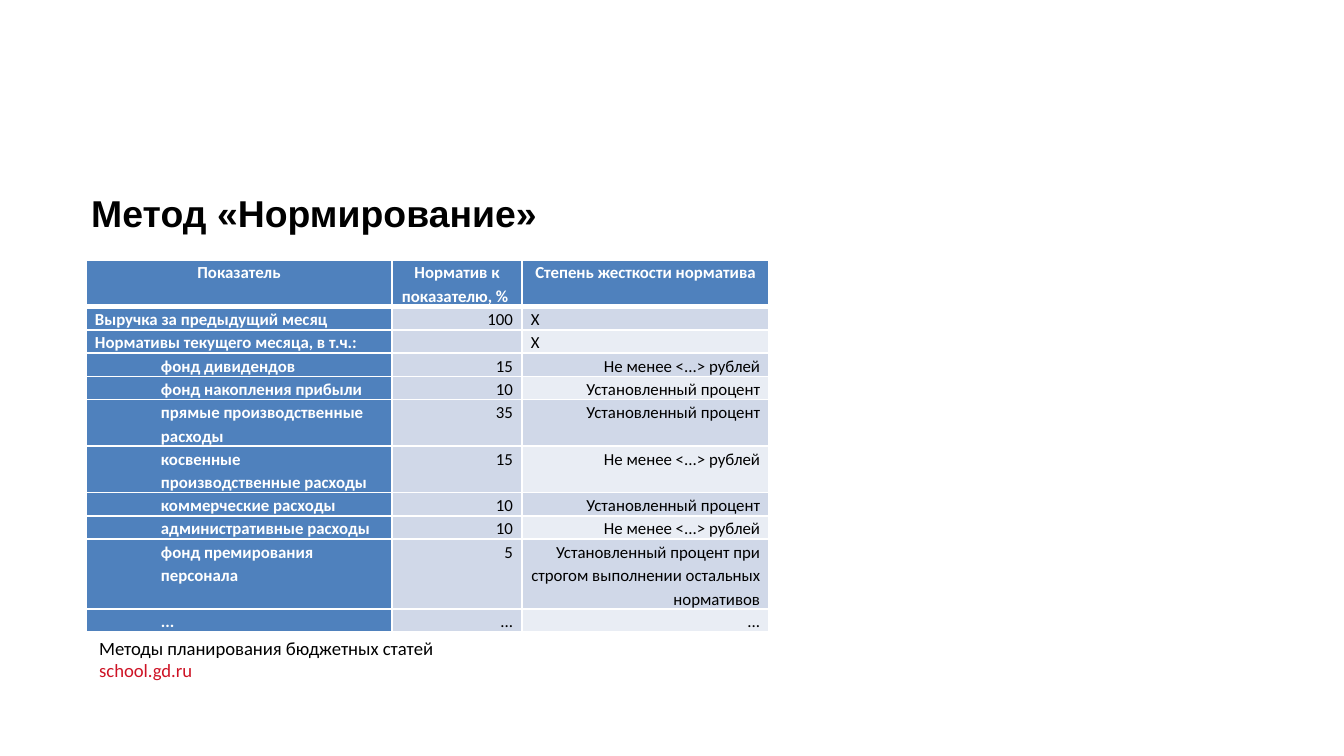
import pptx
import pptx.dml.color
import pptx.enum.text
import pptx.util
from lxml import etree

ALIGN = pptx.enum.text.PP_ALIGN
PX = 914400 / 134.4
COLORS = {
    "black": "000000", "white": "FFFFFF", "red": "CE1325",
    "blue": "4F81BD", "band_dark": "D0D8E8", "band_light": "E9EDF4",
}

TITLE = "Метод «Нормирование»"
FOOTER = [("Методы планирования бюджетных статей", "black"), ("school.gd.ru", "red")]
HEADER = ("Показатель", "Норматив к показателю, % ", "Степень жесткости норматива")
TOTALS = [
    ("Выручка за предыдущий месяц", "100", "Х"),
    ("Нормативы текущего месяца, в т.ч.:", "", "Х"),
]
ITEMS = [
    ("фонд дивидендов", "15", "Не менее <...> рублей"),
    ("фонд накопления прибыли", "10", "Установленный процент"),
    ("прямые производственные расходы", "35", "Установленный процент"),
    ("косвенные производственные расходы", "15", "Не менее <...> рублей"),
    ("коммерческие расходы", "10", "Установленный процент"),
    ("административные расходы", "10", "Не менее <...> рублей"),
    ("фонд премирования персонала", "5",
     "Установленный процент при строгом выполнении остальных нормативов"),
    ("...", "...", "..."),
]
ROWS = [HEADER] + TOTALS + ITEMS
ROW_LINES = [2, 1, 1, 1, 1, 2, 2, 1, 1, 3, 1]
COL_WIDTHS = [306, 130, 247]
LINE_HEIGHT = 23
CELL_MARGIN = 9
ITEM_INDENT = 66


def px(n):
    return pptx.util.Emu(round(n * PX))


def rgb(name):
    return pptx.dml.color.RGBColor.from_string(COLORS[name])


def add_run(p, text, font, size, color, bold=False):
    r = p.add_run()
    r.text = text
    r.font.name = font
    r.font.size = pptx.util.Pt(size)
    r.font.bold = bold
    r.font.color.rgb = rgb(color)


def add_text(slide, box, lines, font, size, bold=False, wrap=True):
    """Add a text box; lines holds one (text, color) pair per paragraph."""
    tf = slide.shapes.add_textbox(*map(px, box)).text_frame
    tf.word_wrap = wrap
    tf.auto_size = pptx.enum.text.MSO_AUTO_SIZE.SHAPE_TO_FIT_TEXT
    for i, (text, color) in enumerate(lines):
        p = tf.add_paragraph() if i else tf.paragraphs[0]
        add_run(p, text, font, size, color, bold)


def set_borders(cell, widths):
    """Draw white borders; widths maps each side (L, R, T, B) to points."""
    tc_pr = cell._tc.get_or_add_tcPr()
    ns = pptx.oxml.ns.nsdecls("a")
    for i, (side, width) in enumerate(widths.items()):
        tc_pr.insert(i, etree.fromstring(
            f'<a:ln{side} {ns} w="{pptx.util.Pt(width)}"><a:solidFill>'
            f'<a:srgbClr val="{COLORS["white"]}"/></a:solidFill></a:ln{side}>'))


def fill_cell(cell, text, row, col):
    strong = row == 0 or col == 0
    is_item = row > len(TOTALS)
    if strong:
        fill = "blue"
    elif col == 1 or row % 2:
        fill = "band_dark"
    else:
        fill = "band_light"
    cell.fill.solid()
    cell.fill.fore_color.rgb = rgb(fill)
    set_borders(cell, {"L": 1, "R": 1, "T": 3 if row == 1 else 1,
                       "B": 3 if row == 0 else 1})
    cell.margin_left = cell.margin_right = px(CELL_MARGIN)
    cell.margin_top = cell.margin_bottom = 0

    p = cell.text_frame.paragraphs[0]
    p.line_spacing = 1.15
    p.space_after = pptx.util.Pt(10)
    if row == 0:
        p.alignment = ALIGN.CENTER
    elif col == 0:
        p.alignment = ALIGN.LEFT
        if is_item:
            p._p.get_or_add_pPr().set("marL", str(px(ITEM_INDENT)))
    elif col == 2 and not is_item:
        p.alignment = ALIGN.JUSTIFY
    else:
        p.alignment = ALIGN.RIGHT
    if text:
        add_run(p, text, "Calibri", 9, "white" if strong else "black", strong)
    else:
        etree.SubElement(p._p, pptx.oxml.ns.qn("a:endParaRPr")).set("sz", "900")


def add_norms_table(slide, left, top):
    heights = [n * LINE_HEIGHT for n in ROW_LINES]
    table = slide.shapes.add_table(
        len(ROWS), len(COL_WIDTHS), px(left), px(top),
        px(sum(COL_WIDTHS)), px(sum(heights))).table
    for column, width in zip(table.columns, COL_WIDTHS):
        column.width = px(width)
    for i, (values, height) in enumerate(zip(ROWS, heights)):
        table.rows[i].height = px(height)
        for j, text in enumerate(values):
            fill_cell(table.cell(i, j), text, i, j)


def main():
    prs = pptx.Presentation()
    prs.slide_width, prs.slide_height = px(1344), px(756)
    slide = prs.slides.add_slide(prs.slide_layouts[6])
    add_text(slide, (86, 630, 367, 59), FOOTER, "Calibri", 10, wrap=False)
    add_text(slide, (78, 184, 642, 59), [(TITLE, "black")], "Arial", 20, bold=True)
    add_norms_table(slide, 86, 260)
    prs.save("out.pptx")


if __name__ == "__main__":
    main()
